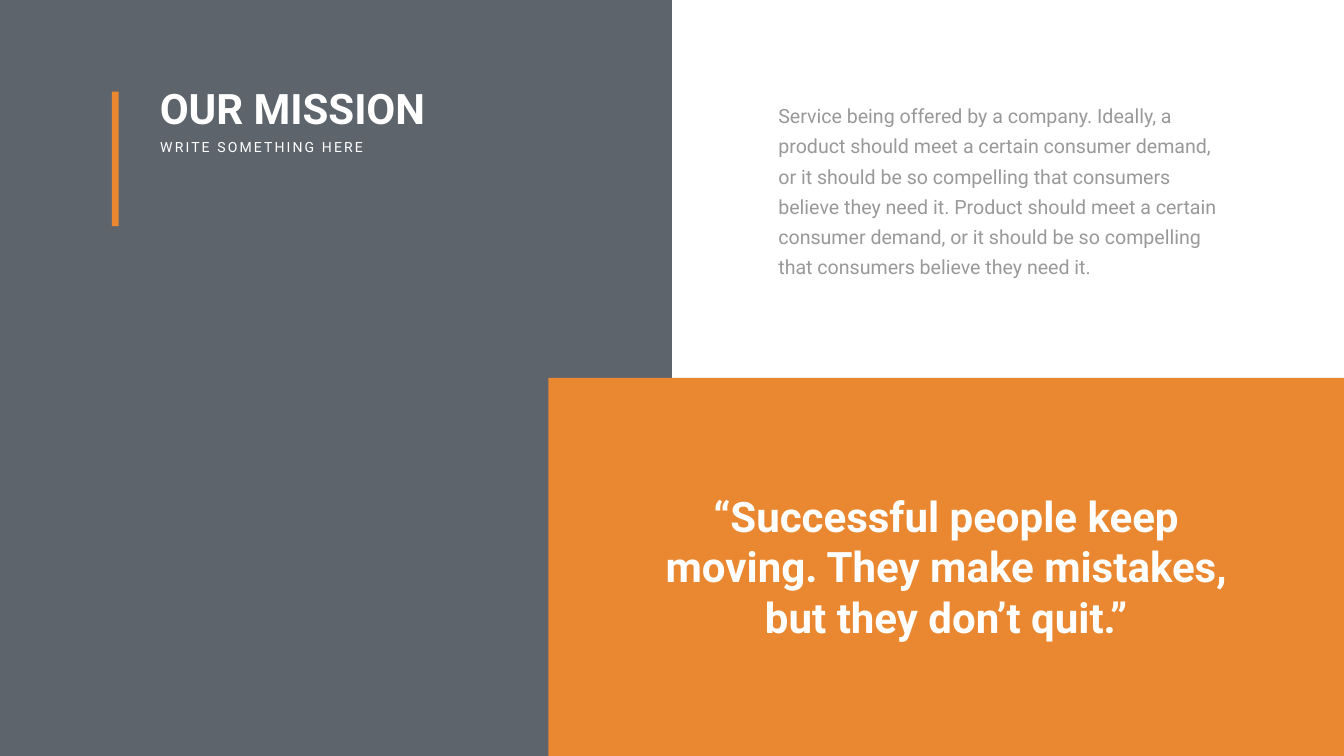
from lxml import etree
from pptx import Presentation
from pptx.dml.color import RGBColor
from pptx.enum.shapes import MSO_SHAPE
from pptx.enum.text import MSO_AUTO_SIZE, PP_ALIGN
from pptx.oxml.ns import qn
from pptx.util import Pt

RECTANGLE = MSO_SHAPE.RECTANGLE
LEFT, CENTER = PP_ALIGN.LEFT, PP_ALIGN.CENTER
FIT_SHAPE = MSO_AUTO_SIZE.SHAPE_TO_FIT_TEXT

COLORS = {
    "slate": "363E48",
    "orange": "EA8831",
    "white": "FFFFFF",
    "gray": "999999",
}
FONT = "Roboto"
WIDTH, HEIGHT = 1919.52, 1080


def add_panel(slide, left, top, width, height, color, opacity=100):
    """Add a borderless rectangle; opacity is a percentage."""
    shape = slide.shapes.add_shape(RECTANGLE, Pt(left), Pt(top), Pt(width), Pt(height))
    shape.shadow.inherit = False
    shape.line.fill.background()
    shape.fill.solid()
    shape.fill.fore_color.rgb = RGBColor.from_string(COLORS[color])
    if opacity < 100:
        color_element = shape.fill._xPr.find(f".//{qn('a:srgbClr')}")
        etree.SubElement(color_element, qn("a:alpha"), val=str(opacity * 1000))


def add_text(slide, left, top, width, height, text, size, color="white",
             bold=False, align=LEFT, wrap=True):
    """Add a one-paragraph text box and return its shape."""
    shape = slide.shapes.add_textbox(Pt(left), Pt(top), Pt(width), Pt(height))
    frame = shape.text_frame
    frame.word_wrap = wrap
    frame.auto_size = FIT_SHAPE
    paragraph = frame.paragraphs[0]
    paragraph.text = text
    paragraph.alignment = align
    font = paragraph.font
    font.name = FONT
    font.size = Pt(size)
    font.bold = bold
    font.color.rgb = RGBColor.from_string(COLORS[color])
    return shape


def add_heading(slide, left, top, title, subtitle):
    add_text(slide, left + 61.2, top - 16.5, 452, 80, title, 60, bold=True)
    shape = add_text(slide, left + 61.9, top + 63.4, 313, 32, subtitle, 20, wrap=False)
    run = shape.text_frame.paragraphs[0].runs[0]
    run._r.get_or_add_rPr().set("spc", "300")
    add_panel(slide, left, top, 9.4, 192, "orange")


def add_quote(slide, left, top, width, height, quote):
    add_panel(slide, left, top, width, height, "orange")
    add_text(slide, left + 125.3, top + 157, 885.6, 225.4, quote, 60,
             bold=True, align=CENTER)


def add_description(slide, left, top, width, height, description):
    shape = add_text(slide, left, top, width, height, description, 28, "gray")
    frame = shape.text_frame
    frame.margin_left = frame.margin_right = Pt(17.28)
    frame.margin_top = frame.margin_bottom = Pt(8.64)
    frame.paragraphs[0].line_spacing = Pt(43)


def main():
    presentation = Presentation()
    presentation.slide_width = Pt(WIDTH)
    presentation.slide_height = Pt(HEIGHT)
    slide = presentation.slides.add_slide(presentation.slide_layouts[6])

    add_panel(slide, 0, 0, WIDTH / 2, HEIGHT, "slate", opacity=80)
    add_heading(slide, 159.9, 131, "OUR MISSION", "WRITE SOMETHING HERE")
    quote_left = 783.36
    add_quote(
        slide, quote_left, HEIGHT / 2, WIDTH - quote_left, HEIGHT / 2,
        "“Successful people keep moving. They make mistakes, but they don’t quit.”",
    )
    add_description(
        slide, 1094.4, 131, 665.3, 273.6,
        "Service being offered by a company. Ideally, a product should meet a "
        "certain consumer demand, or it should be so compelling that consumers "
        "believe they need it. Product should meet a certain consumer demand, or "
        "it should be so compelling that consumers believe they need it.",
    )
    presentation.save("out.pptx")


if __name__ == "__main__":
    main()
